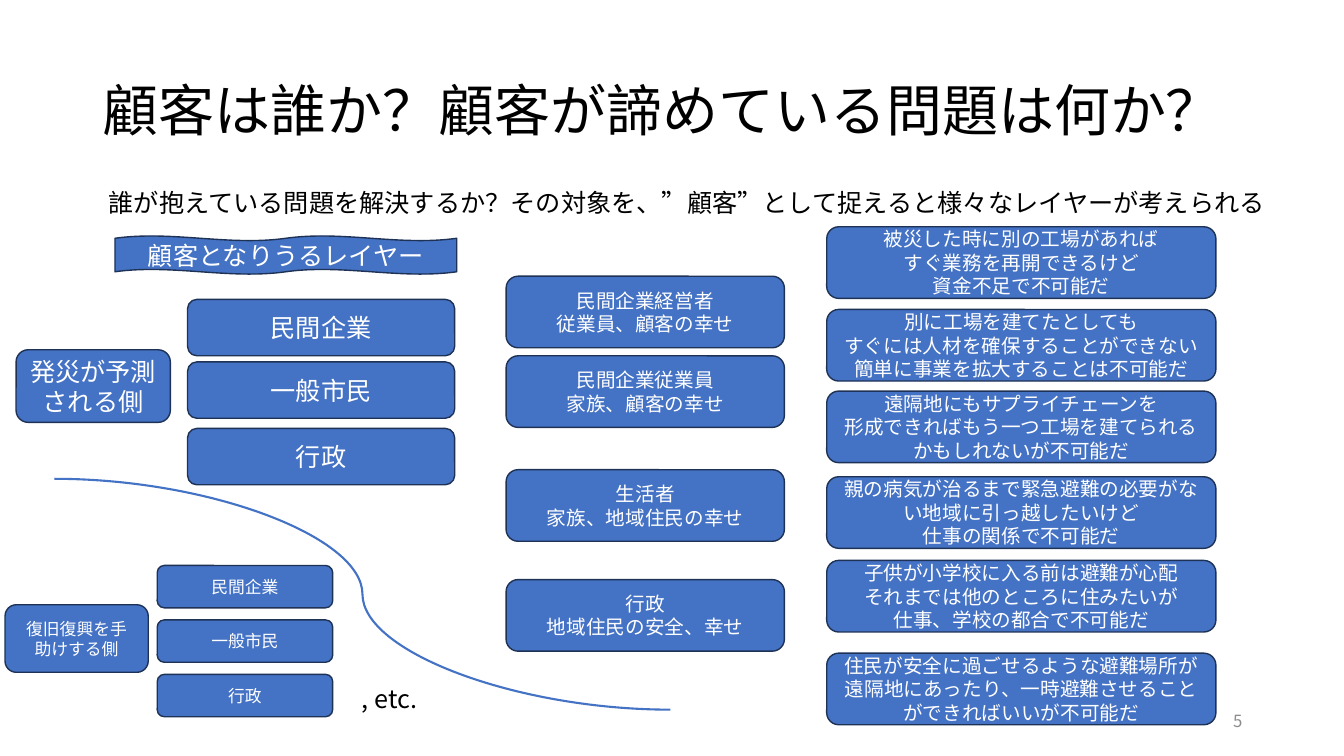
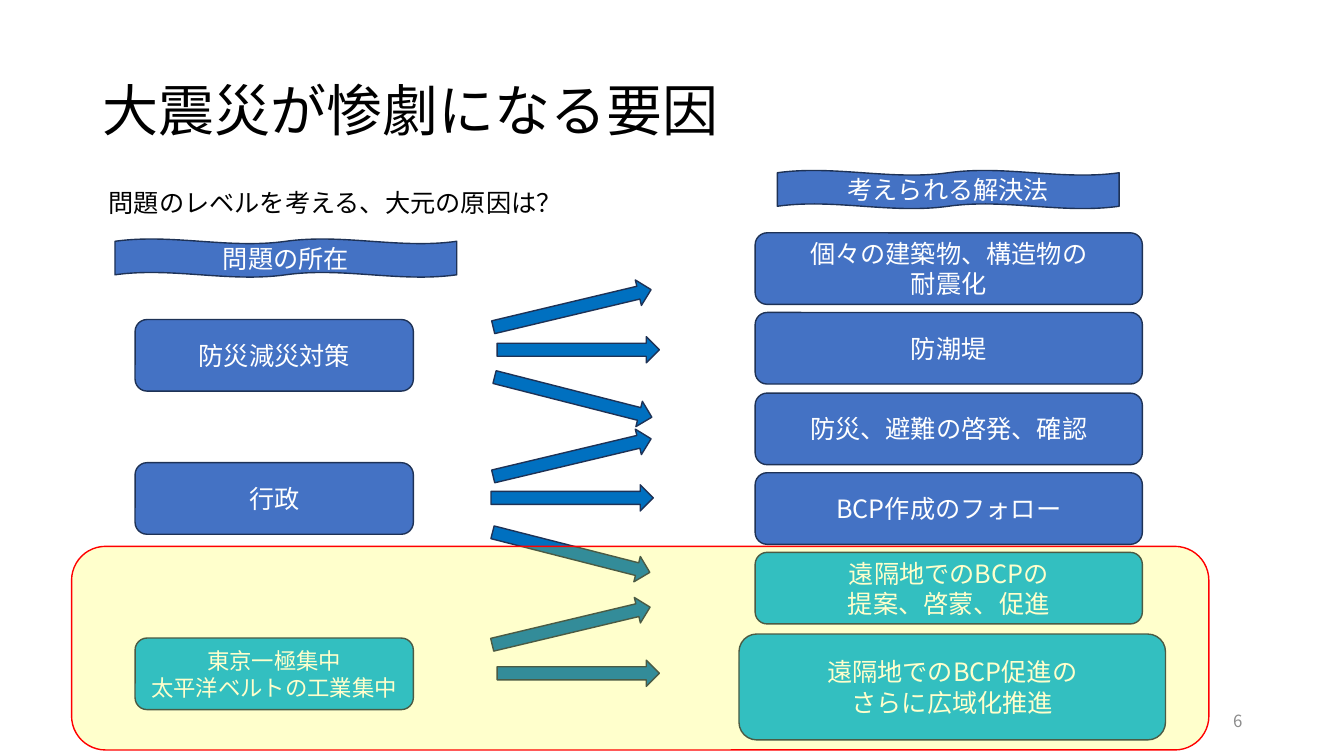
from dataclasses import dataclass

from lxml.etree import SubElement
from pptx import Presentation
from pptx.dml.color import RGBColor
from pptx.enum.shapes import MSO_CONNECTOR as Connector, MSO_SHAPE as Preset
from pptx.enum.text import MSO_ANCHOR as Anchor, MSO_AUTO_SIZE as AutoSize, PP_ALIGN as Align
from pptx.oxml.ns import qn
from pptx.presentation import Presentation as Deck
from pptx.shapes.autoshape import Shape
from pptx.slide import Slide
from pptx.text.text import TextFrame
from pptx.util import Pt

PX = 9144  # 100 px to the inch
FONT = "Noto Sans CJK JP"
BLACK, WHITE, GREY = "000000", "FFFFFF", "8C8C8C"
BLUE, NAVY, SKY, ARROW_BLUE = "4472C4", "1E3256", "00B0F0", "0070C0"
YELLOW, RED = "FFFF00", "FF0000"


@dataclass(frozen=True)
class Rect:
    left: int
    top: int
    width: int
    height: int

    def emu(self) -> tuple[int, int, int, int]:
        return self.left * PX, self.top * PX, self.width * PX, self.height * PX


@dataclass(frozen=True)
class Card:
    top: int
    text: str
    fill: str = BLUE
    size: int = 0  # 0 takes the size of the column


@dataclass(frozen=True)
class Column:
    """Cards of one size under each other."""
    left: int
    width: int
    height: int
    size: int
    cards: list[Card]


@dataclass(frozen=True)
class Arrow:
    left: int
    top: int
    angle: float = 0


UP, DOWN = -13.4, 14.3

CUSTOMER_COLUMNS = [
    Column(16, 153, 72, 18, [Card(347, "発災が予測される側")]),
    Column(186, 265, 56, 18, [Card(297, "民間企業"), Card(359, "一般市民"), Card(425, "行政")]),
    Column(5, 142, 67, 12, [Card(600, "復旧復興を手助けする側")]),
    Column(156, 174, 42, 12, [
        Card(561 + 54 * row, name) for row, name in enumerate(["民間企業", "一般市民", "行政"])
    ]),
    Column(502, 276, 71, 14, [
        Card(274, "民間企業経営者\n従業員、顧客の幸せ"),
        Card(353, "民間企業従業員\n家族、顧客の幸せ"),
        Card(466, "生活者\n家族、地域住民の幸せ"),
        Card(575, "行政\n地域住民の安全、幸せ"),
    ]),
    Column(820, 386, 71, 14, [
        Card(225, "被災した時に別の工場があれば\nすぐ業務を再開できるけど\n資金不足で不可能だ"),
        Card(307, "別に工場を建てたとしても\nすぐには人材を確保することができない\n"
                  "簡単に事業を拡大することは不可能だ"),
        Card(388, "遠隔地にもサプライチェーンを\n"
                  "形成できればもう一つ工場を建てられるかもしれないが不可能だ"),
        Card(473, "親の病気が治るまで緊急避難の必要がない地域に引っ越したいけど\n"
                  "仕事の関係で不可能だ"),
        Card(556, "子供が小学校に入る前は避難が心配\nそれまでは他のところに住みたいが\n"
                  "仕事、学校の都合で不可能だ"),
        Card(648, "住民が安全に過ごせるような避難場所が遠隔地にあったり、"
                  "一時避難させることができればいいが不可能だ"),
    ]),
]

CAUSE_COLUMNS = [
    Column(134, 276, 71, 18, [
        Card(317, "防災減災対策"),
        Card(459, "行政"),
        Card(633, "東京一極集中\n太平洋ベルトの工業集中", SKY, 16),
    ]),
    Column(749, 384, 71, 18, [
        Card(231, "個々の建築物、構造物の\n耐震化"),
        Card(310, "防潮堤"),
        Card(390, "防災、避難の啓発、確認"),
        Card(469, "BCP作成のフォロー"),
        Card(548, "遠隔地でのBCPの\n提案、啓蒙、促進", SKY),
    ]),
    Column(733, 423, 105, 18, [Card(629, "遠隔地でのBCP促進の\nさらに広域化推進", SKY)]),
]

ARROWS = [
    Arrow(487, 293, UP), Arrow(493, 334), Arrow(488, 381, DOWN),
    Arrow(487, 441, UP), Arrow(487, 481), Arrow(486, 535, DOWN),
    Arrow(486, 608, UP), Arrow(493, 655),
]


def rgb(value: str) -> RGBColor:
    return RGBColor.from_string(value)


def write(frame: TextFrame, text: str, size: int, color: str, align: Align, anchor: Anchor) -> None:
    """Fill a frame with one paragraph per line of text."""
    frame.text = text
    frame.word_wrap = True
    frame.vertical_anchor = anchor
    for para in frame.paragraphs:
        para.alignment = align
        para.font.size = Pt(size)
        para.font.color.rgb = rgb(color)
        para.font.name = FONT
        defaults = para._p.pPr.find(qn("a:defRPr"))
        SubElement(defaults, qn("a:ea")).set("typeface", FONT)


def add_text(page: Slide, rect: Rect, text: str) -> None:
    frame = page.shapes.add_textbox(*rect.emu()).text_frame
    write(frame, text, 18, BLACK, Align.LEFT, Anchor.TOP)
    frame.auto_size = AutoSize.SHAPE_TO_FIT_TEXT


def add_preset(page: Slide, preset: Preset, rect: Rect, fill: str, line: str = NAVY) -> Shape:
    shape = page.shapes.add_shape(preset, *rect.emu())
    shape.shadow.inherit = False
    shape.fill.solid()
    shape.fill.fore_color.rgb = rgb(fill)
    shape.line.color.rgb = rgb(line)
    shape.line.width = Pt(1)
    return shape


def add_label(page: Slide, preset: Preset, rect: Rect, text: str, size: int, fill: str = BLUE) -> None:
    """Add a filled shape with white centred text."""
    shape = add_preset(page, preset, rect, fill)
    write(shape.text_frame, text, size, WHITE, Align.CENTER, Anchor.MIDDLE)


def add_banner(page: Slide, left: int, top: int, text: str) -> None:
    add_label(page, Preset.DOUBLE_WAVE, Rect(left, top, 339, 38), text, 18)


def add_columns(page: Slide, columns: list[Column]) -> None:
    for column in columns:
        for card in column.cards:
            rect = Rect(column.left, card.top, column.width, column.height)
            add_label(page, Preset.ROUNDED_RECTANGLE, rect, card.text, card.size or column.size, card.fill)


def add_page(deck: Deck, title: str, lead: str, number: int) -> Slide:
    """Add a slide with its title, lead sentence and page number."""
    page = deck.slides.add_slide(deck.slide_layouts.get_by_name("Title Only"))
    heading = page.shapes.title
    heading.left, heading.top, heading.width, heading.height = Rect(92, 40, 1150, 145).emu()
    write(heading.text_frame, title, 40, BLACK, Align.LEFT, Anchor.MIDDLE)
    heading.text_frame.auto_size = AutoSize.NONE
    heading.text_frame.paragraphs[0].line_spacing = 0.9
    add_text(page, Rect(98, 181, 1217, 40), lead)
    footer = page.shapes.add_textbox(*Rect(942, 695, 300, 40).emu())
    write(footer.text_frame, str(number), 12, GREY, Align.RIGHT, Anchor.MIDDLE)
    return page


def add_divider(page: Slide) -> None:
    divider = page.shapes.add_connector(Connector.CURVE, 54 * PX, 475 * PX, 665 * PX, 704 * PX)
    divider.line.color.rgb = rgb(BLUE)
    divider.line.width = Pt(1.5)
    SubElement(divider._element.spPr, qn("a:effectLst"))


def add_arrows(page: Slide) -> None:
    for arrow in ARROWS:
        rect = Rect(arrow.left, arrow.top, 161, 26)
        add_preset(page, Preset.RIGHT_ARROW, rect, ARROW_BLUE).rotation = arrow.angle


def add_highlight(page: Slide) -> None:
    """Lay a see-through yellow panel over the lower rows."""
    panel = add_preset(page, Preset.ROUNDED_RECTANGLE, Rect(71, 542, 1128, 202), YELLOW, RED)
    color = panel._element.spPr.find(qn("a:solidFill")).find(qn("a:srgbClr"))
    SubElement(color, qn("a:alpha")).set("val", "20000")


def add_customer_page(deck: Deck) -> None:
    page = add_page(
        deck,
        "顧客は誰か？顧客が諦めている問題は何か？",
        "誰が抱えている問題を解決するか？その対象を、”顧客”として捉えると様々なレイヤーが考えられる",
        5,
    )
    add_banner(page, 114, 234, "顧客となりうるレイヤー")
    add_columns(page, CUSTOMER_COLUMNS)
    add_divider(page)
    add_text(page, Rect(349, 673, 104, 40), ", etc.")


def add_cause_page(deck: Deck) -> None:
    page = add_page(deck, "大震災が惨劇になる要因", "問題のレベルを考える、大元の原因は？", 6)
    add_banner(page, 114, 237, "問題の所在")
    add_banner(page, 771, 169, "考えられる解決法")
    add_columns(page, CAUSE_COLUMNS)
    add_arrows(page)
    add_highlight(page)


def main() -> None:
    deck = Presentation()
    deck.slide_width, deck.slide_height = 1333 * PX, 750 * PX
    add_customer_page(deck)
    add_cause_page(deck)
    deck.save("out.pptx")


if __name__ == "__main__":
    main()
